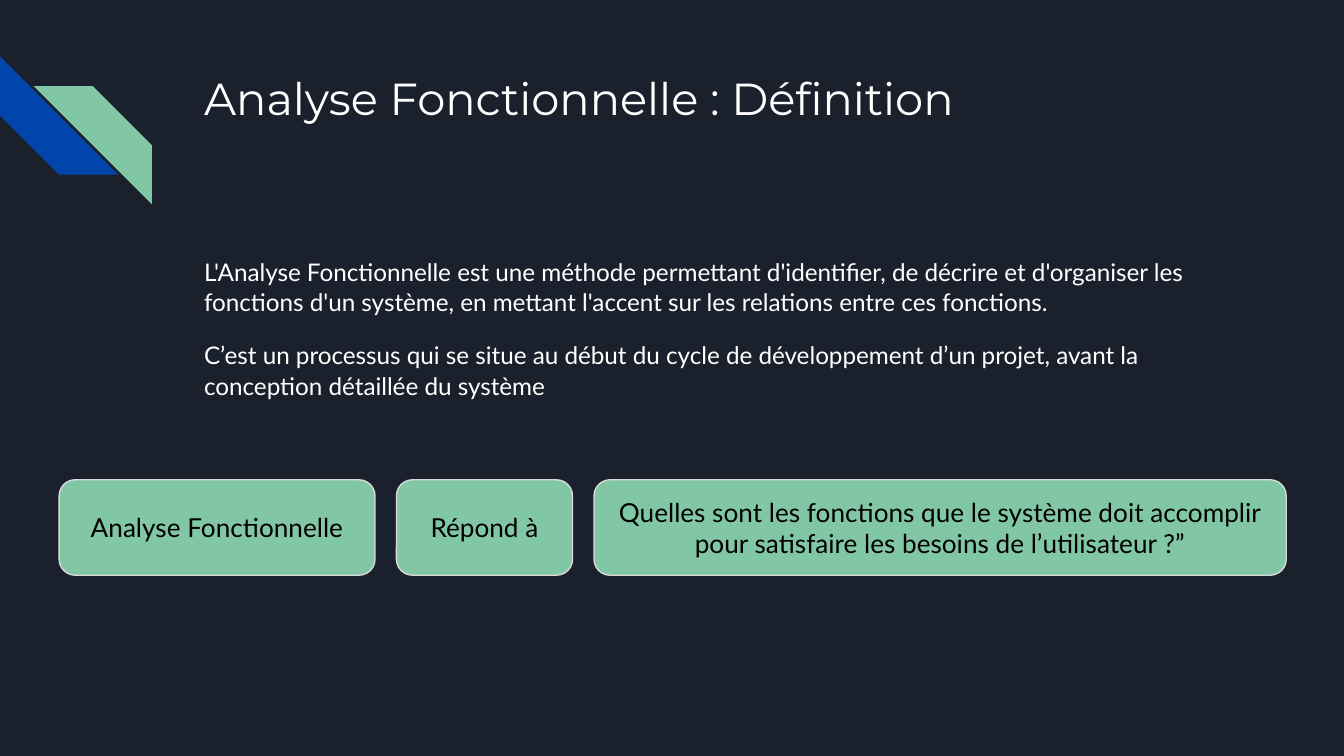
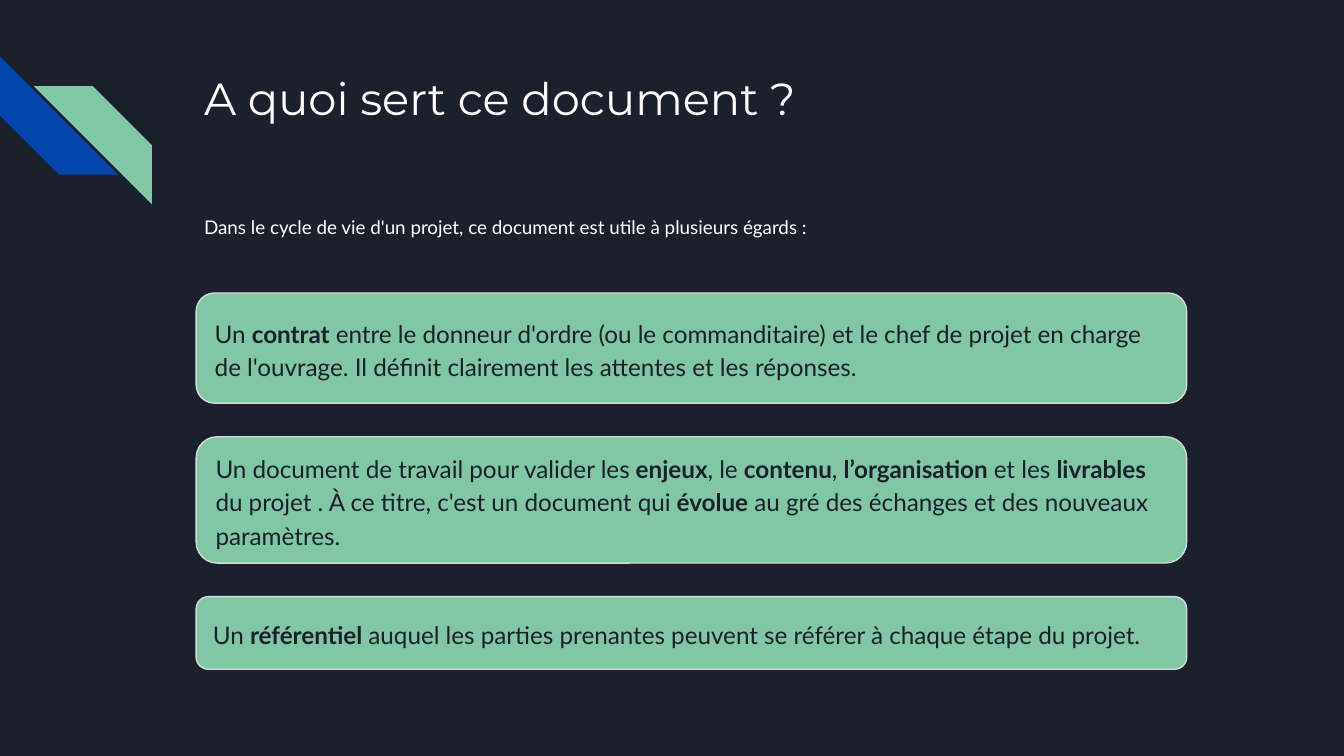
from dataclasses import dataclass

from pptx import Presentation
from pptx.dml.color import RGBColor as Rgb
from pptx.enum import shapes as sh, text as tx
from pptx.util import Inches, Pt


@dataclass(frozen=True)
class Theme:
    navy: str = "1B212C"
    blue: str = "0145AC"
    green: str = "82C7A5"
    edge: str = "D9D9D9"
    white: str = "FFFFFF"
    black: str = "000000"
    head: str = "Montserrat"
    body: str = "Lato"
    title: float = 24
    label: float = 14
    text: float = 13
    small: float = 10.1


T = Theme()
SHAPE = sh.MSO_SHAPE
ALIGN = tx.PP_ALIGN
MID = tx.MSO_ANCHOR.MIDDLE


def paint(shape, color):
    shape.shadow.inherit = False
    shape.fill.solid()
    shape.fill.fore_color.rgb = Rgb.from_string(color)
    shape.line.fill.background()


def write(shape, paras, size, color, face=T.body, align=ALIGN.LEFT,
          anchor=tx.MSO_ANCHOR.TOP, lead=1.0, gap=0):
    """Fill a shape with paragraphs; text between asterisks is bold."""
    frame = shape.text_frame
    frame.word_wrap = True
    frame.vertical_anchor = anchor
    frame.margin_left = frame.margin_right = Inches(0.1)
    frame.margin_top = frame.margin_bottom = Inches(0.1)
    for i, line in enumerate(paras):
        para = frame.add_paragraph() if i else frame.paragraphs[0]
        para.alignment = align
        para.line_spacing = lead
        if i:
            para.space_before = Pt(gap)
        para.font.size = Pt(size)
        para.font.name = face
        para.font.color.rgb = Rgb.from_string(color)
        for j, part in enumerate(line.split("*")):
            if part:
                run = para.add_run()
                run.text = part
                if j % 2:
                    run.font.bold = True


def label(slide, box, paras, size, **style):
    area = slide.shapes.add_textbox(*map(Inches, box))
    write(area, paras, size, T.white, **style)


def card(slide, box, line, size, color, **style):
    shape = slide.shapes.add_shape(SHAPE.ROUNDED_RECTANGLE, *map(Inches, box))
    paint(shape, T.green)
    shape.line.color.rgb = Rgb.from_string(T.edge)
    shape.line.width = Pt(0.75)
    write(shape, [line], size, color, anchor=MID, **style)


def stripes(slide, box):
    """Corner emblem: two diagonal bands side by side."""
    left, top, side = box
    for dx, dy, turn, color in ((0, 0, 270, T.blue), (0.25, 0.22, 90, T.green)):
        band = slide.shapes.add_shape(
            SHAPE.DIAGONAL_STRIPE, Inches(left + dx), Inches(top + dy),
            Inches(side), Inches(side))
        band.rotation = turn
        paint(band, color)


def base(deck, title):
    """Slide with the shared background, emblem and title."""
    slide = deck.slides.add_slide(deck.slide_layouts[6])
    slide.background.fill.solid()
    slide.background.fill.fore_color.rgb = Rgb.from_string(T.navy)
    stripes(slide, (0, 0.42, 0.88))
    label(slide, (1.42, 0.43, 7.7, 1), [title], T.title, face=T.head)
    return slide


def row(slide, box, items, gap):
    """Cards from left to right, each with its own width."""
    left, top, high = box
    for wide, line in items:
        card(slide, (left, top, wide, high), line, T.label, T.black,
             align=ALIGN.CENTER)
        left += wide + gap


def stack(slide, box, items, gap):
    """Cards from top to bottom, each with its own height."""
    left, top, wide = box
    for high, line in items:
        card(slide, (left, top, wide, high), line, T.text, T.navy, lead=1.15)
        top += high + gap


def define(deck):
    slide = base(deck, "Analyse Fonctionnelle : Définition")
    # Definition
    label(slide, (1.42, 1.8, 7.78, 1.49), [
        "L'Analyse Fonctionnelle est une méthode permettant d'identifier, de "
        "décrire et d'organiser les fonctions d'un système, en mettant "
        "l'accent sur les relations entre ces fonctions.",
        "C’est un processus qui se situe au début du cycle de développement "
        "d’un projet, avant la conception détaillée du système",
    ], T.text, lead=1.05, gap=12)
    # Question answered
    row(slide, (0.44, 3.57, 0.71), [
        (2.35, "Analyse Fonctionnelle"),
        (1.31, "Répond à"),
        (5.15, "Quelles sont les fonctions que le système doit accomplir pour "
               "satisfaire les besoins de l’utilisateur ?”"),
    ], 0.16)


def purpose(deck):
    slide = base(deck, "A quoi sert ce document ?")
    # Lead-in
    label(slide, (1.42, 1.54, 7.7, 0.54), [
        "Dans le cycle de vie d'un projet, ce document est utile à plusieurs "
        "égards :"], T.small, lead=0.95)
    # Uses
    stack(slide, (1.46, 2.18, 7.37), [
        (0.82, "Un *contrat* entre le donneur d'ordre (ou le commanditaire) et "
               "le chef de projet en charge de l'ouvrage. Il définit "
               "clairement les attentes et les réponses."),
        (0.94, "Un document de travail pour valider les *enjeux*, le "
               "*contenu*, *l’organisation* et les *livrables* du projet . "
               "À ce titre, c'est un document qui *évolue* au gré des "
               "échanges et des nouveaux paramètres."),
        (0.54, "Un *référentiel* auquel les parties prenantes peuvent se "
               "référer à chaque étape du projet."),
    ], 0.25)


def main():
    deck = Presentation()
    deck.slide_width = Inches(10)
    deck.slide_height = deck.slide_width * 9 // 16
    define(deck)
    purpose(deck)
    deck.save("out.pptx")


if __name__ == "__main__":
    main()
